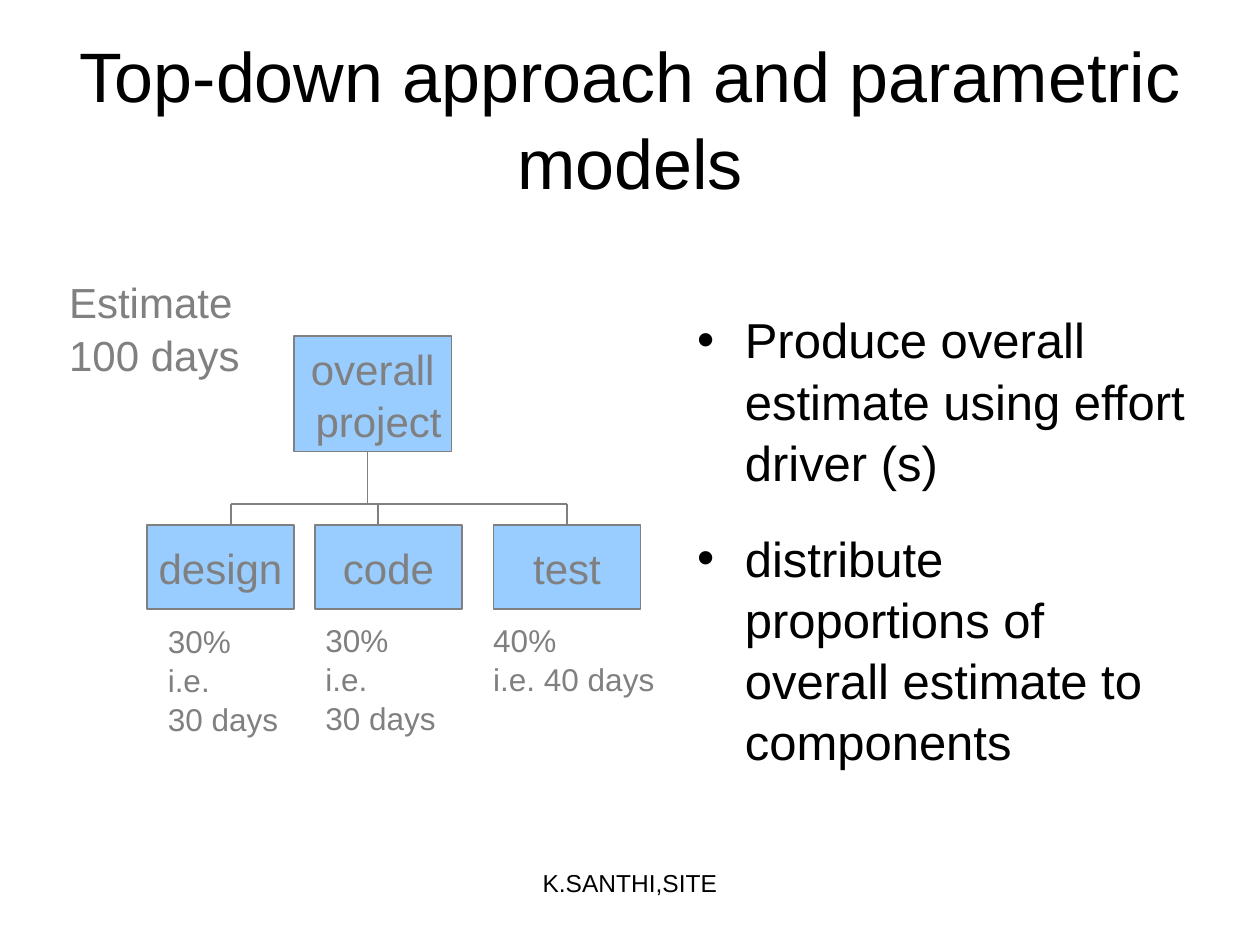
from dataclasses import dataclass

import pptx
import pptx.dml.color
import pptx.enum.shapes
import pptx.enum.text
import pptx.oxml
import pptx.oxml.ns
import pptx.util

COLORS = {"text": "000000", "muted": "808080", "box": "99CCFF"}
SLIDE_W, SLIDE_H = pptx.util.Inches(10), pptx.util.Inches(7.5)
COLS, ROWS = 120, 90
FONT = "Arial"
LINE_SPACING = 1.04
LEFT, CENTER = pptx.enum.text.PP_ALIGN.LEFT, pptx.enum.text.PP_ALIGN.CENTER
TOP, MIDDLE = pptx.enum.text.MSO_ANCHOR.TOP, pptx.enum.text.MSO_ANCHOR.MIDDLE
TOP_SIDE = 0


@dataclass
class Area:
    col: float
    row: float
    cols: float
    rows: float

    def emu(self) -> tuple:
        return x_at(self.col), y_at(self.row), x_at(self.cols), y_at(self.rows)


@dataclass
class Label:
    area: Area
    lines: list
    size: int
    color: str = "muted"
    align: int = LEFT
    wrap: bool = False


@dataclass
class Task:
    box: Area
    name: str
    drop_col: float
    share: Label


def x_at(col: float) -> int:
    return round(SLIDE_W * col / COLS)


def y_at(row: float) -> int:
    return round(SLIDE_H * row / ROWS)


def rgb(name: str):
    return pptx.dml.color.RGBColor.from_string(COLORS[name])


def assign(obj, values: dict) -> None:
    for name, value in values.items():
        setattr(obj, name, value)


def write(tf, lines: list, size: int, color: str, align=LEFT, anchor=TOP,
          wrap=True, bullet=False, gap=0) -> None:
    assign(tf, {"word_wrap": wrap, "vertical_anchor": anchor,
                "auto_size": pptx.enum.text.MSO_AUTO_SIZE.NONE})
    for i, line in enumerate(lines):
        p = tf.paragraphs[0] if i == 0 else tf.add_paragraph()
        assign(p, {"alignment": align, "line_spacing": LINE_SPACING,
                   "space_before": pptx.util.Pt(gap if i else 0)})
        if bullet:
            add_bullet(p)
        r = p.add_run()
        r.text = line
        assign(r.font, {"name": FONT, "size": pptx.util.Pt(size), "bold": False})
        r.font.color.rgb = rgb(color)


def add_bullet(p) -> None:
    indent = pptx.util.Inches(0.38)
    pPr = p._p.get_or_add_pPr()
    pPr.set("marL", str(indent))
    pPr.set("indent", str(-indent))
    ns = pptx.oxml.ns.nsdecls("a")
    for xml in (f'<a:buFont {ns} typeface="{FONT}"/>', f'<a:buChar {ns} char="•"/>'):
        pPr.append(pptx.oxml.parse_xml(xml))


def add_label(s, label: Label) -> None:
    sp = s.shapes.add_textbox(*label.area.emu())
    write(sp.text_frame, label.lines, label.size, label.color, label.align,
          wrap=label.wrap)


def add_box(s, area: Area, lines: list):
    sp = s.shapes.add_shape(pptx.enum.shapes.MSO_SHAPE.RECTANGLE, *area.emu())
    sp.shadow.inherit = False
    sp.fill.solid()
    sp.fill.fore_color.rgb = rgb("box")
    sp.line.color.rgb = rgb("muted")
    sp.line.width = pptx.util.Pt(0.75)
    write(sp.text_frame, lines, 24, "muted", CENTER, MIDDLE, wrap=False)
    return sp


def add_line(s, col1: float, row1: float, col2: float, row2: float):
    c = s.shapes.add_connector(pptx.enum.shapes.MSO_CONNECTOR.STRAIGHT,
                               x_at(col1), y_at(row1), x_at(col2), y_at(row2))
    c.line.color.rgb = rgb("muted")
    c.line.width = pptx.util.Pt(0.75)
    ns = pptx.oxml.ns.nsdecls("a")
    c._element.spPr.append(pptx.oxml.parse_xml(f"<a:effectLst {ns}/>"))
    return c


def add_tree(s, root: Area, trunk_col: float, bus_row: float, tasks: list) -> None:
    add_box(s, root, ["overall", " project"])
    add_line(s, trunk_col, root.row + root.rows, trunk_col, bus_row)
    add_line(s, tasks[0].drop_col, bus_row, tasks[-1].drop_col, bus_row)
    for task in tasks:
        sp = add_box(s, task.box, [task.name])
        c = add_line(s, task.drop_col, bus_row, task.drop_col, task.box.row)
        if task.drop_col == task.box.col + task.box.cols / 2:
            c.end_connect(sp, TOP_SIDE)
        add_label(s, task.share)


def main() -> None:
    prs = pptx.Presentation()
    assign(prs, {"slide_width": SLIDE_W, "slide_height": SLIDE_H})
    s = prs.slides.add_slide(prs.slide_layouts[5])

    title = s.shapes.title
    assign(title, dict(zip(("left", "top", "width", "height"),
                           Area(6, 3.6, 108, 15).emu())))
    write(title.text_frame, ["Top-down approach and parametric models"], 40,
          "text", CENTER, MIDDLE)

    body = s.shapes.add_textbox(*Area(65.2, 28.7, 50, 54).emu())
    write(body.text_frame,
          ["Produce overall estimate using effort driver (s)",
           "distribute proportions of overall estimate to components"],
          28, "text", bullet=True, gap=20)

    month = ["30%", "i.e.", "30 days"]
    tasks = [
        Task(Area(14, 50, 14, 8), "design", 22,
             Label(Area(14.8, 58.5, 14.2, 12), month, 18, wrap=True)),
        Task(Area(30, 50, 14, 8), "code", 36,
             Label(Area(29.8, 58.4, 12.8, 12), month, 18)),
        Task(Area(47, 50, 14, 8), "test", 54,
             Label(Area(45.8, 58.4, 17.8, 8.4), ["40%", "i.e. 40 days"], 18)),
    ]
    add_tree(s, Area(28, 32, 15, 11), 35, 48, tasks)

    add_label(s, Label(Area(5.4, 25.6, 18.6, 10.8), ["Estimate", "100 days"], 24))
    add_label(s, Label(Area(41, 82, 38, 6.2), ["K.SANTHI,SITE"], 14, "text",
                       CENTER, wrap=True))
    prs.save("out.pptx")


if __name__ == "__main__":
    main()
